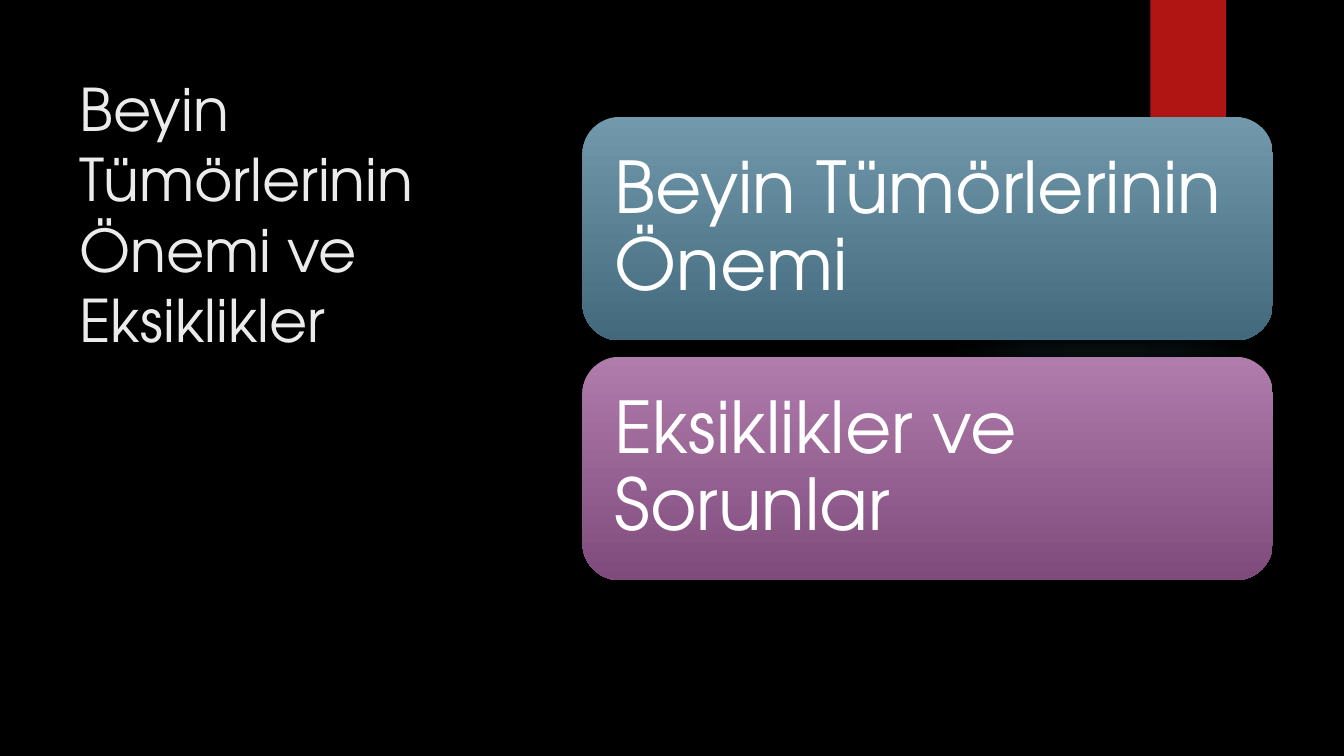
from dataclasses import dataclass

from lxml import etree
from pptx import Presentation
from pptx.dml.color import RGBColor
from pptx.enum import shapes, text
from pptx.oxml import ns
from pptx.util import Pt


@dataclass(frozen=True)
class Theme:
    font: str = "TeX Gyre Adventor"
    background: str = "000000"
    title_color: str = "EBEBEB"
    card_color: str = "FFFFFF"
    bar: str = "B01513"
    shadow: str = "000000"
    glow: tuple = ((0, "50B9C1", 7), (36, "50B9C1", 6), (69, "50B9C1", 0))
    blue: tuple = ((0, "7198AB", 100), (100, "436A7C", 100))
    purple: tuple = ((0, "AF7CAC", 100), (100, "7F4B7C", 100))
    title_size: int = 42
    card_size: int = 51


THEME = Theme()
TITLE = "Beyin Tümörlerinin Önemi ve Eksiklikler"
CARDS = (
    ("Beyin Tümörlerinin Önemi", THEME.blue),
    ("Eksiklikler ve Sorunlar", THEME.purple),
)


def add_element(parent, tag, **attributes):
    element = etree.SubElement(parent, ns.qn(tag))
    for name, value in attributes.items():
        element.set(name, str(value))
    return element


def add_color(parent, color, opacity):
    element = add_element(parent, "a:srgbClr", val=color)
    if opacity < 100:
        add_element(element, "a:alpha", val=opacity * 1000)


def add_plain_shape(slide, kind, box):
    shape = slide.shapes.add_shape(kind, *map(Pt, box))
    shape.shadow.inherit = False
    shape.line.fill.background()
    return shape


def set_gradient(shape, stops, radial=False):
    """Fill with (position, color, opacity) stops, downwards or from the centre."""
    shape.fill.gradient()
    gradient = shape._element.spPr.find(ns.qn("a:gradFill"))
    for child in list(gradient):
        gradient.remove(child)
    stop_list = add_element(gradient, "a:gsLst")
    for position, color, opacity in stops:
        stop = add_element(stop_list, "a:gs", pos=position * 1000)
        add_color(stop, color, opacity)
    if radial:
        centre = add_element(gradient, "a:path", path="circle")
        add_element(centre, "a:fillToRect", l=50000, t=50000, r=50000, b=50000)
    else:
        add_element(gradient, "a:lin", ang=90 * 60000, scaled=0)


def add_shadow(shape):
    effects = shape._element.spPr.find(ns.qn("a:effectLst"))
    shadow = add_element(effects, "a:outerShdw", blurRad=Pt(3), dist=Pt(2),
                         dir=90 * 60000, rotWithShape=0)
    add_color(shadow, THEME.shadow, 45)


def write_text(shape, content, *, size, color, anchor, margins, line_spacing=1.0):
    frame = shape.text_frame
    frame.word_wrap = True
    frame.vertical_anchor = anchor
    frame.margin_left = frame.margin_right = Pt(margins[0])
    frame.margin_top = frame.margin_bottom = Pt(margins[1])
    paragraph = frame.paragraphs[0]
    paragraph.alignment = text.PP_ALIGN.LEFT
    paragraph.line_spacing = line_spacing
    run = paragraph.add_run()
    run.text = content
    run.font.name = THEME.font
    run.font.size = Pt(size)
    run.font.color.rgb = RGBColor.from_string(color)


def add_backdrop(slide, box):
    left, top, width, _ = box
    fill = slide.background.fill
    fill.solid()
    fill.fore_color.rgb = RGBColor.from_string(THEME.background)

    glow_box = (left + width - 282.5, top + 131.8, 221.8, 221.8)
    glow = add_plain_shape(slide, shapes.MSO_SHAPE.OVAL, glow_box)
    set_gradient(glow, THEME.glow, radial=True)

    bar_box = (left + width - 138.2, top, 54, 90)
    bar = add_plain_shape(slide, shapes.MSO_SHAPE.RECTANGLE, bar_box)
    bar.fill.solid()
    bar.fill.fore_color.rgb = RGBColor.from_string(THEME.bar)
    add_shadow(bar)


def add_title(slide, box):
    title = slide.shapes.add_textbox(*map(Pt, box))
    write_text(title, TITLE, size=THEME.title_size, color=THEME.title_color,
               anchor=text.MSO_ANCHOR.TOP, margins=(7.2, 3.6))


def add_cards(slide, box, gap=11.6):
    """Stack the cards in equal heights down the box."""
    left, top, width, height = box
    card_height = (height - gap * (len(CARDS) - 1)) / len(CARDS)
    for index, (content, stops) in enumerate(CARDS):
        card_top = top + index * (card_height + gap)
        card = add_plain_shape(slide, shapes.MSO_SHAPE.ROUNDED_RECTANGLE,
                               (left, card_top, width, card_height))
        set_gradient(card, stops)
        add_shadow(card)
        # The rounded corners already inset the text by 7.8 points.
        write_text(card, content, size=THEME.card_size, color=THEME.card_color,
                   anchor=text.MSO_ANCHOR.MIDDLE, margins=(15.2, 15.2),
                   line_spacing=0.9)


def main():
    presentation = Presentation()
    presentation.slide_width, presentation.slide_height = Pt(960), Pt(540)
    slide = presentation.slides.add_slide(presentation.slide_layouts[6])
    add_backdrop(slide, (0, 0, 960, 540))
    add_title(slide, (49.7, 48.2, 268.6, 415.4))
    add_cards(slide, (416, 83.5, 493.2, 331))
    presentation.save("out.pptx")


if __name__ == "__main__":
    main()
